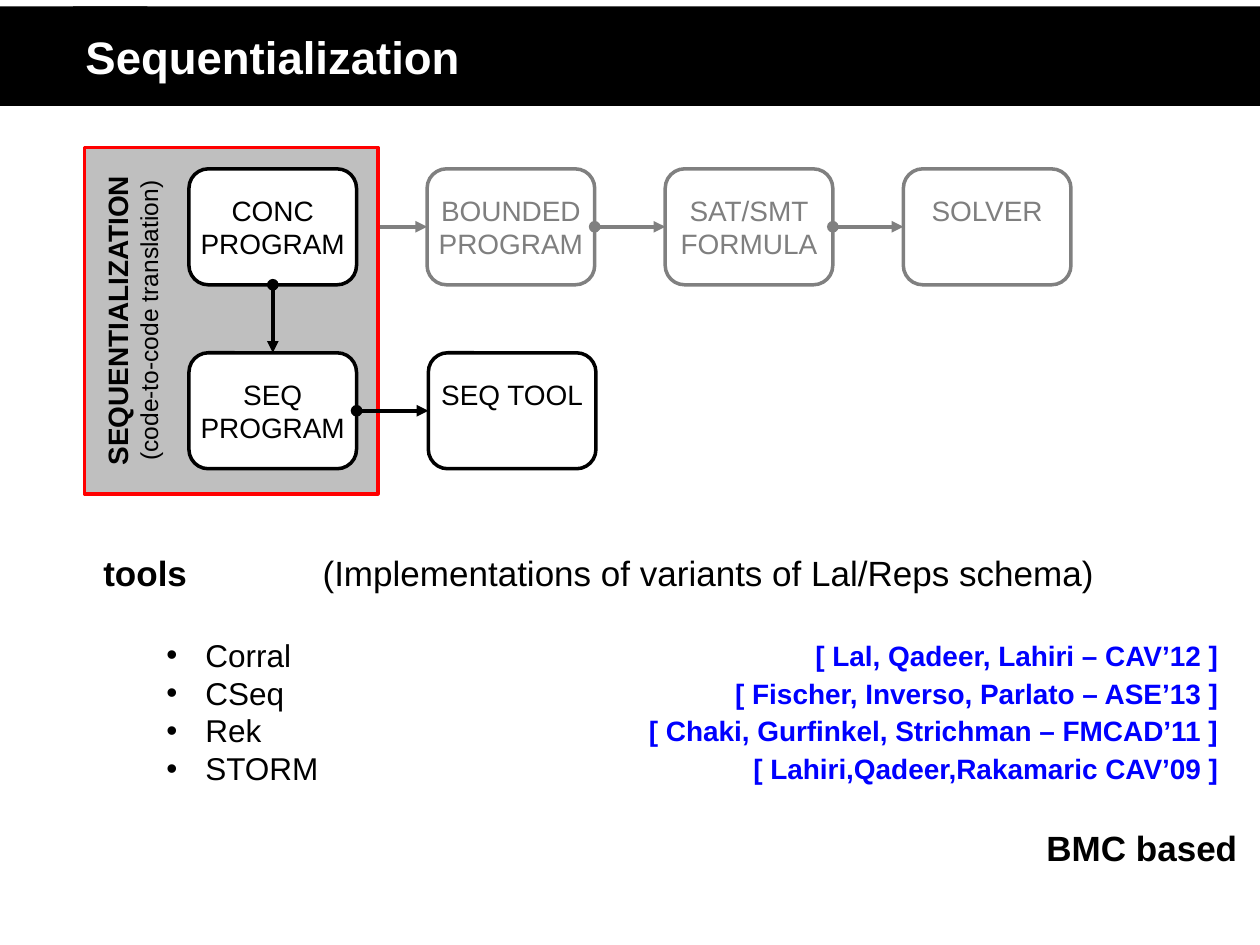
from lxml import etree
from pptx import Presentation
from pptx.dml.color import RGBColor
from pptx.enum.shapes import MSO_CONNECTOR, MSO_SHAPE
from pptx.enum.text import MSO_ANCHOR, PP_ALIGN
from pptx.oxml.ns import qn
from pptx.util import Inches, Pt

COLORS = {
    "black": "000000", "white": "FFFFFF", "panel": "BFBFBF", "highlight": "FF0000",
    "muted": "808080", "muted_text": "7F7F7F", "citation": "0000FF",
}
BOX_W, BOX_H = 1.33, 0.92
TOP, LEFT, BOTTOM, RIGHT = range(4)
TOOLS = [
    ("Corral", "[ Lal, Qadeer, Lahiri – CAV’12 ]"),
    ("CSeq", "[ Fischer, Inverso, Parlato – ASE’13 ]"),
    ("Rek", "[ Chaki, Gurfinkel, Strichman – FMCAD’11 ]"),
    ("STORM", "[ Lahiri,Qadeer,Rakamaric CAV’09 ]"),
]


def rgb(name):
    return RGBColor.from_string(COLORS[name])


def style(font, size, color="black", bold=False):
    font.name = "Arial"
    font.size = Pt(size)
    font.bold = bold
    font.color.rgb = rgb(color)


def add_block(slide, kind, left, top, width, height, fill, line=None):
    block = slide.shapes.add_shape(
        kind, Inches(left), Inches(top), Inches(width), Inches(height))
    block.shadow.inherit = False
    block.fill.solid()
    block.fill.fore_color.rgb = rgb(fill)
    if line:
        block.line.color.rgb = rgb(line)
        block.line.width = Pt(2)
    else:
        block.line.fill.background()
    return block


def add_text_frame(slide, left, top, width, height):
    box = slide.shapes.add_textbox(
        Inches(left), Inches(top), Inches(width), Inches(height))
    box.text_frame.word_wrap = True
    return box, box.text_frame


def add_arrow(slide, start, end, color):
    arrow = slide.shapes.add_connector(
        MSO_CONNECTOR.STRAIGHT, *(Inches(value) for value in (*start, *end)))
    arrow.line.color.rgb = rgb(color)
    arrow.line.width = Pt(2.25)
    outline = arrow.line._get_or_add_ln()
    etree.SubElement(outline, qn("a:headEnd"), type="oval")
    etree.SubElement(outline, qn("a:tailEnd"), type="triangle")
    etree.SubElement(arrow._element.spPr, qn("a:effectLst"))
    return arrow


def add_stage(slide, left, top, lines, muted=False):
    """Rounded stage box; a one-line label stays on the upper line."""
    stage = add_block(slide, MSO_SHAPE.ROUNDED_RECTANGLE, left, top, BOX_W, BOX_H,
                      "white", "muted" if muted else "black")
    frame = stage.text_frame
    frame.margin_left = frame.margin_right = 0
    frame.margin_top = frame.margin_bottom = Inches(0.15)
    frame.vertical_anchor = MSO_ANCHOR.MIDDLE if len(lines) > 1 else MSO_ANCHOR.TOP
    frame.text = "\n".join(lines)
    for paragraph in frame.paragraphs:
        paragraph.alignment = PP_ALIGN.CENTER
        style(paragraph.font, 16, "muted_text" if muted else "black")
    return stage


def add_title(slide, top, height):
    add_block(slide, MSO_SHAPE.RECTANGLE, 0, top, 1.17, height, "black")
    bar = add_block(slide, MSO_SHAPE.RECTANGLE, 0.58, top, 9.42, height, "black")
    frame = bar.text_frame
    frame.vertical_anchor = MSO_ANCHOR.MIDDLE
    frame.text = "Sequentialization"
    frame.paragraphs[0].alignment = PP_ALIGN.LEFT
    style(frame.paragraphs[0].font, 26, "white", True)


def add_pipeline(slide, left, top):
    first_x, upper_y, lower_y = left + 0.83, top + 0.17, top + 1.63
    columns = [first_x + 1.89 * i for i in range(4)]
    middle = upper_y + BOX_H / 2

    # The highlighted panel covers the start of this arrow.
    conc_to_bounded = add_arrow(
        slide, (columns[0] + BOX_W, middle), (columns[1], middle), "muted")
    add_block(slide, MSO_SHAPE.RECTANGLE, left, top, 2.33, 2.75, "panel", "highlight")

    caption, frame = add_text_frame(slide, left - 0.91, top + 1.07, 2.58, 0.61)
    caption.rotation = 270
    frame.text = "SEQUENTIALIZATION\n(code-to-code translation)"
    for paragraph, size, bold in zip(frame.paragraphs, (16, 14), (True, False)):
        paragraph.alignment = PP_ALIGN.CENTER
        style(paragraph.font, size, bold=bold)

    conc = add_stage(slide, columns[0], upper_y, ["CONC", "PROGRAM"])
    bounded = add_stage(slide, columns[1], upper_y, ["BOUNDED", "PROGRAM"], True)
    formula = add_stage(slide, columns[2], upper_y, ["SAT/SMT", "FORMULA"], True)
    solver = add_stage(slide, columns[3], upper_y, ["SOLVER"], True)
    seq = add_stage(slide, columns[0], lower_y, ["SEQ", "PROGRAM"])
    seq_tool = add_stage(slide, columns[1] + 0.01, lower_y, ["SEQ TOOL"])

    conc_to_bounded.begin_connect(conc, RIGHT)
    conc_to_bounded.end_connect(bounded, LEFT)
    for source, side, target, target_side, color in [
        (bounded, RIGHT, formula, LEFT, "muted"),
        (formula, RIGHT, solver, LEFT, "muted"),
        (conc, BOTTOM, seq, TOP, "black"),
        (seq, RIGHT, seq_tool, LEFT, "black"),
    ]:
        arrow = add_arrow(slide, (0, 0), (0, 0), color)
        arrow.begin_connect(source, side)
        arrow.end_connect(target, target_side)


def add_run(paragraph, text, size, bold=False):
    run = paragraph.add_run()
    run.text = text
    style(run.font, size, bold=bold)


def add_tools(slide, left, top, width, height):
    _, frame = add_text_frame(slide, left, top, width, height)
    frame.margin_left = Inches(0.6)
    heading = frame.paragraphs[0]
    tabs = etree.SubElement(heading._p.get_or_add_pPr(), qn("a:tabLst"))
    etree.SubElement(tabs, qn("a:tab"), pos=str(Inches(1.74)), algn="l")
    add_run(heading, "tools\t", 20, True)
    add_run(heading, "(Implementations of variants of Lal/Reps schema)", 20)

    _, citations = add_text_frame(slide, left + 4.5, top + 0.71, width - 4.5, 1.2)
    citations.margin_top = citations.margin_bottom = 0
    citations.margin_right = Inches(0.13)
    citations.text = "\n".join(citation for _, citation in TOOLS)
    for paragraph in citations.paragraphs:
        paragraph.alignment = PP_ALIGN.RIGHT
        paragraph.line_spacing = Pt(21.4)
        style(paragraph.font, 16, "citation", True)

    for i, (tool, _) in enumerate(TOOLS):
        entry = frame.add_paragraph()
        entry.space_before = Pt(0 if i else 24)
        properties = entry._p.get_or_add_pPr()
        properties.set("marL", str(Inches(0.81)))
        properties.set("indent", str(Inches(-0.31)))
        etree.SubElement(properties, qn("a:buFont"), typeface="Arial")
        etree.SubElement(properties, qn("a:buChar"), char="•")
        add_run(entry, tool, 18)


def add_footer(slide, left, top, width, height):
    _, frame = add_text_frame(slide, left, top, width, height)
    frame.margin_right = Inches(0.15)
    frame.text = "BMC based"
    frame.paragraphs[0].alignment = PP_ALIGN.RIGHT
    style(frame.paragraphs[0].font, 20, bold=True)


def main():
    presentation = Presentation()
    presentation.slide_width, presentation.slide_height = Inches(10), Inches(7.5)
    slide = presentation.slides.add_slide(presentation.slide_layouts[6])
    add_title(slide, 0.05, 0.79)
    add_pipeline(slide, 0.67, 1.17)
    add_tools(slide, 0.22, 4.33, 9.58, 1.99)
    add_footer(slide, 0.39, 6.51, 9.58, 0.44)
    presentation.save("out.pptx")


if __name__ == "__main__":
    main()
